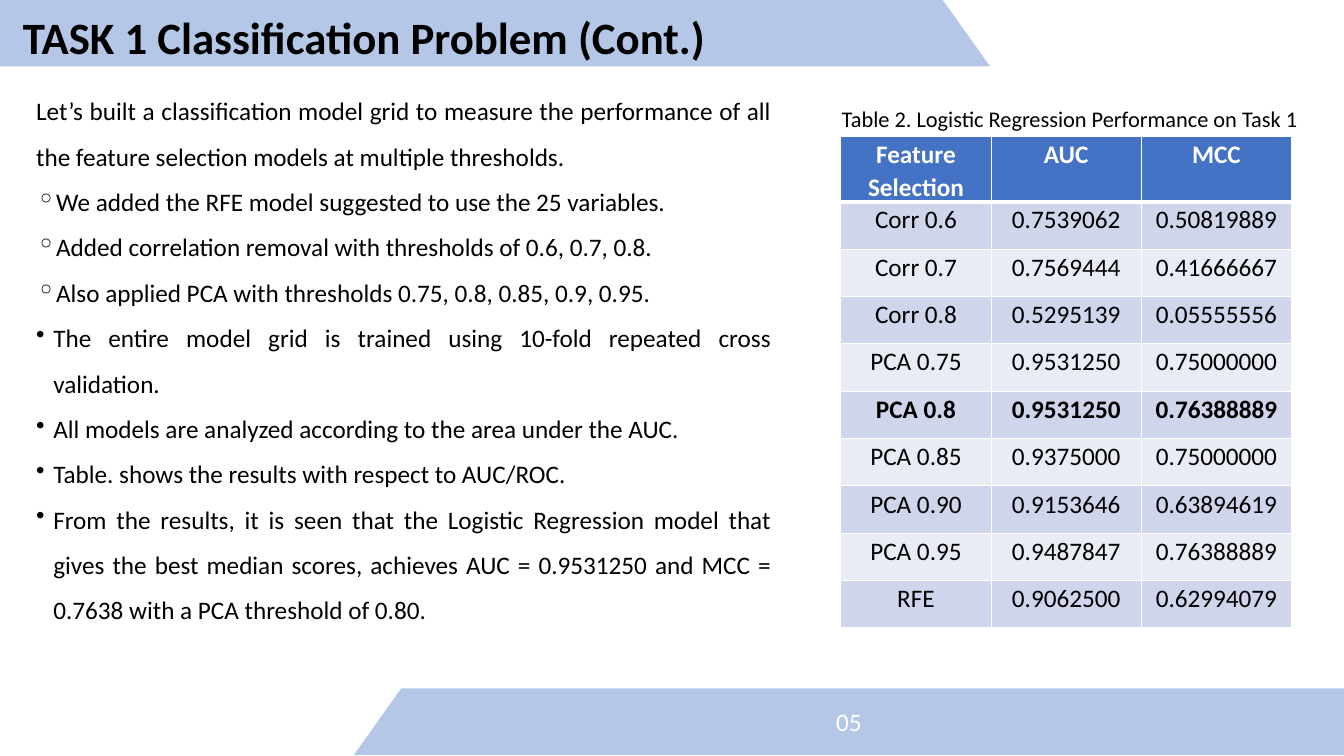
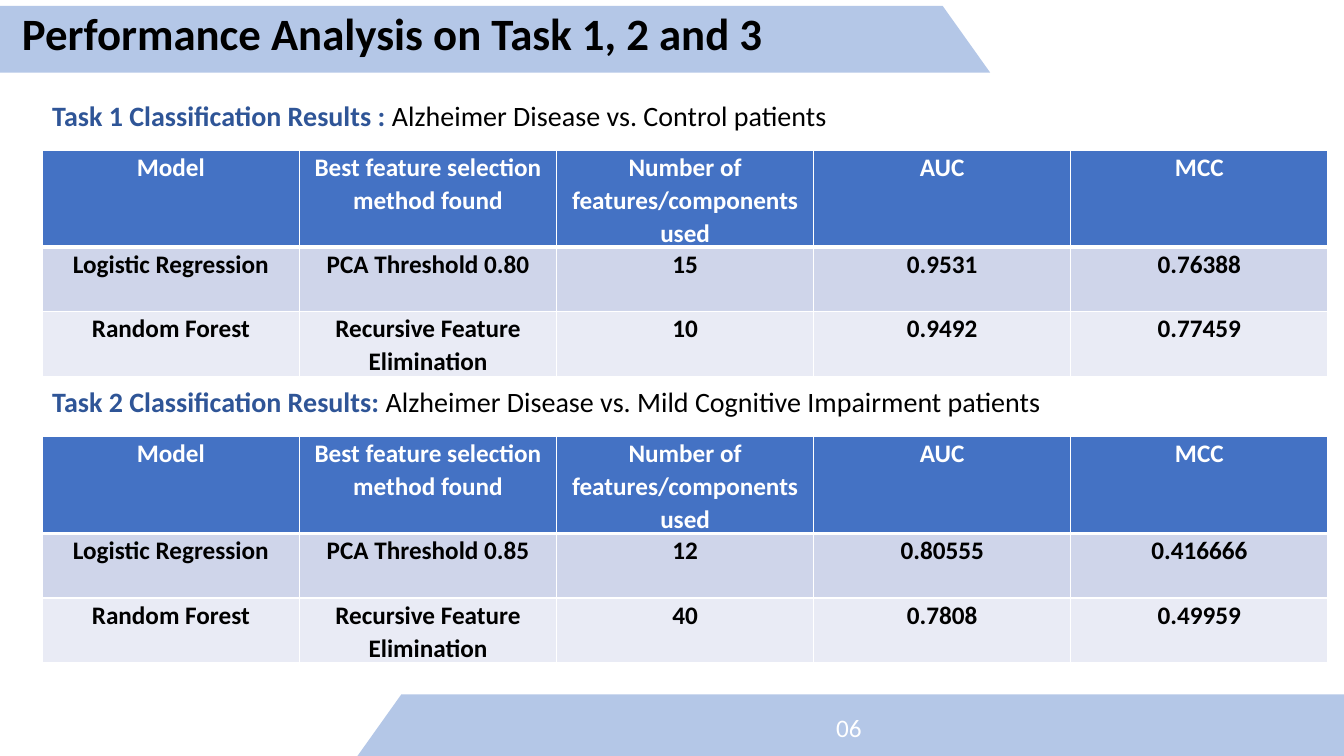
from lxml import etree
from pptx import Presentation
from pptx.dml.color import RGBColor
from pptx.enum.text import MSO_ANCHOR, PP_ALIGN
from pptx.oxml.ns import qn
from pptx.util import Inches, Pt

FONT = "Calibri"
BAND = RGBColor(0xB4, 0xC7, 0xE7)
HEADER = RGBColor(0x44, 0x72, 0xC4)
ROW_ODD = RGBColor(0xCF, 0xD5, 0xEA)
ROW_EVEN = RGBColor(0xE9, 0xEB, 0xF5)
LABEL = RGBColor(0x2F, 0x55, 0x97)
BLACK = RGBColor(0, 0, 0)
WHITE = RGBColor(0xFF, 0xFF, 0xFF)

CENTER, JUSTIFY = PP_ALIGN.CENTER, PP_ALIGN.JUSTIFY
MIDDLE = MSO_ANCHOR.MIDDLE

WIDTH, HEIGHT = 13.33, 7.5
BAND_HEIGHT, BAND_LENGTH, BAND_SLANT = 0.66, 9.82, 0.47
BULLET_INDENT = 0.17

INTRO = ("Let’s built a classification model grid to measure the performance of all "
         "the feature selection models at multiple thresholds.")
BULLETS = [
    ("◦", "We added the RFE model suggested to use the 25 variables."),
    ("◦", "Added correlation removal with thresholds of 0.6, 0.7, 0.8."),
    ("◦", "Also applied PCA with thresholds 0.75, 0.8, 0.85, 0.9, 0.95."),
    ("•", "The entire model grid is trained using 10-fold repeated cross validation."),
    ("•", "All models are analyzed according to the area under the AUC."),
    ("•", "Table. shows the results with respect to AUC/ROC."),
    ("•", "From the results, it is seen that the Logistic Regression model that "
          "gives the best median scores, achieves AUC = 0.9531250 and MCC = 0.7638 "
          "with a PCA threshold of 0.80."),
]
GRID_SCORES = [
    ("Feature Selection", "AUC", "MCC"),
    ("Corr 0.6", "0.7539062", "0.50819889"),
    ("Corr 0.7", "0.7569444", "0.41666667"),
    ("Corr 0.8", "0.5295139", "0.05555556"),
    ("PCA 0.75", "0.9531250", "0.75000000"),
    ("PCA 0.8", "0.9531250", "0.76388889"),
    ("PCA 0.85", "0.9375000", "0.75000000"),
    ("PCA 0.90", "0.9153646", "0.63894619"),
    ("PCA 0.95", "0.9487847", "0.76388889"),
    ("RFE", "0.9062500", "0.62994079"),
]
BEST_ROW = 5
RESULT_HEADER = ("Model", "Best feature selection method found",
                 "Number of features/components used", "AUC", "MCC")
TASKS = [
    ("Task 1 Classification Results : ", "Alzheimer Disease vs. Control patients", [
        ("Logistic Regression", "PCA Threshold 0.80", "15", "0.9531", "0.76388"),
        ("Random Forest", "Recursive Feature Elimination", "10", "0.9492", "0.77459"),
    ]),
    ("Task 2 Classification Results: ",
     "Alzheimer Disease vs. Mild Cognitive Impairment patients", [
         ("Logistic Regression", "PCA Threshold 0.85", "12", "0.80555", "0.416666"),
         ("Random Forest", "Recursive Feature Elimination", "40", "0.7808", "0.49959"),
     ]),
]


def set_font(font, size, color=BLACK, bold=False):
    font.name, font.size, font.bold = FONT, Pt(size), bold
    font.color.rgb = color


def add_text(s, x, y, w, h, text, size, bold=False):
    """Add a wrapping text box and return its text frame."""
    tf = s.shapes.add_textbox(Inches(x), Inches(y), Inches(w), Inches(h)).text_frame
    tf.word_wrap = True
    p = tf.paragraphs[0]
    p.text = text
    set_font(p.font, size, bold=bold)
    return tf


def add_band(s, points):
    (x, y), *rest = [(Inches(px), Inches(py)) for px, py in points]
    builder = s.shapes.build_freeform(x, y)
    builder.add_line_segments(rest, close=True)
    sp = builder.convert_to_shape()
    sp.shadow.inherit = False
    sp.fill.solid()
    sp.fill.fore_color.rgb = BAND
    sp.line.fill.background()
    return sp


def add_base_slide(prs, title, number, title_at, band_top, footer_top):
    s = prs.slides.add_slide(prs.slide_layouts[6])
    bottom = band_top + BAND_HEIGHT
    add_band(s, [(0, band_top), (BAND_LENGTH - BAND_SLANT, band_top),
                 (BAND_LENGTH, bottom), (0, bottom)])
    left, bottom = WIDTH - BAND_LENGTH, footer_top + BAND_HEIGHT
    footer = add_band(s, [(WIDTH, footer_top), (left + BAND_SLANT, footer_top),
                          (left, bottom), (WIDTH, bottom)])
    tf = footer.text_frame
    tf.vertical_anchor = MIDDLE
    p = tf.paragraphs[0]
    p.text, p.alignment = number, CENTER
    set_font(p.font, 18, WHITE)
    add_text(s, *title_at, 9.5, 0.64, title, 32, bold=True)
    return s


def add_bullet(tf, mark, text):
    p = tf.add_paragraph()
    p.text = text
    set_font(p.font, 18)
    pPr = p._p.get_or_add_pPr()
    pPr.set("marL", str(Inches(BULLET_INDENT)))
    pPr.set("indent", str(-Inches(BULLET_INDENT)))
    bullet = etree.Element(qn("a:buChar"), char=mark)
    pPr.find(qn("a:defRPr")).addprevious(bullet)


def set_borders(cell, top, bottom):
    """Draw white cell borders; top and bottom are widths in points."""
    tcPr = cell._tc.get_or_add_tcPr()
    for tag, width in (("lnL", 1), ("lnR", 1), ("lnT", top), ("lnB", bottom)):
        ln = etree.SubElement(tcPr, qn(f"a:{tag}"), w=str(Pt(width)))
        fill = etree.SubElement(ln, qn("a:solidFill"))
        etree.SubElement(fill, qn("a:srgbClr"), val=str(WHITE))


def fill_cell(cell, text, row, bold, inset):
    set_borders(cell, 3 if row == 1 else 1, 3 if row == 0 else 1)
    cell.fill.solid()
    cell.fill.fore_color.rgb = HEADER if row == 0 else (ROW_EVEN, ROW_ODD)[row % 2]
    cell.margin_left = cell.margin_right = cell.margin_top = Inches(inset)
    cell.margin_bottom = 0
    p = cell.text_frame.paragraphs[0]
    p.text, p.alignment, p.line_spacing = text, CENTER, 1.07
    set_font(p.font, 18, WHITE if row == 0 else BLACK, bold)


def add_score_table(s, x, y, col_width, header_height, row_height, rows,
                    bold_rows, inset=0):
    cols = len(rows[0])
    height = header_height + row_height * (len(rows) - 1)
    table = s.shapes.add_table(len(rows), cols, Inches(x), Inches(y),
                               Inches(col_width * cols), Inches(height)).table
    for col in table.columns:
        col.width = Inches(col_width)
    for i, values in enumerate(rows):
        table.rows[i].height = Inches(row_height if i else header_height)
        for j, value in enumerate(values):
            fill_cell(table.cell(i, j), value, i, i in bold_rows, inset)


def add_task_heading(s, y, label, detail):
    p = add_text(s, 0.42, y, 12.63, 0.45, "", 20).paragraphs[0]
    p.alignment, p.line_spacing, p.space_after = JUSTIFY, 1.07, Pt(8)
    for text, color, bold in ((label, LABEL, True), (detail, BLACK, False)):
        r = p.add_run()
        r.text = text
        set_font(r.font, 20, color, bold)


def add_classification_slide(prs):
    s = add_base_slide(prs, "TASK 1 Classification Problem (Cont.)", "05",
                       (0.13, 0.05), 0, 6.83)
    tf = add_text(s, 0.26, 0.75, 7.49, 5.51, INTRO, 18)
    for mark, text in BULLETS:
        add_bullet(tf, mark, text)
    for p in tf.paragraphs:
        p.alignment, p.line_spacing = JUSTIFY, 1.5
    add_score_table(s, 8.34, 1.35, 1.49, 0.65, 0.47, GRID_SCORES,
                    (0, BEST_ROW), inset=0.01)
    add_text(s, 8.25, 0.99, 4.82, 0.37,
             "Table 2. Logistic Regression Performance on Task 1", 16)


def add_performance_slide(prs):
    s = add_base_slide(prs, "Performance Analysis on Task 1, 2 and 3", "06",
                       (0.12, 0.01), 0.06, 6.89)
    for i, (label, detail, results) in enumerate(TASKS):
        top = 0.9 + 2.84 * i
        add_task_heading(s, top, label, detail)
        add_score_table(s, 0.42, top + 0.59, 2.55, 0.96, 0.64,
                        [RESULT_HEADER, *results], range(3))


def main():
    prs = Presentation()
    prs.slide_width, prs.slide_height = Inches(WIDTH), Inches(HEIGHT)
    add_classification_slide(prs)
    add_performance_slide(prs)
    prs.save("out.pptx")


if __name__ == "__main__":
    main()
